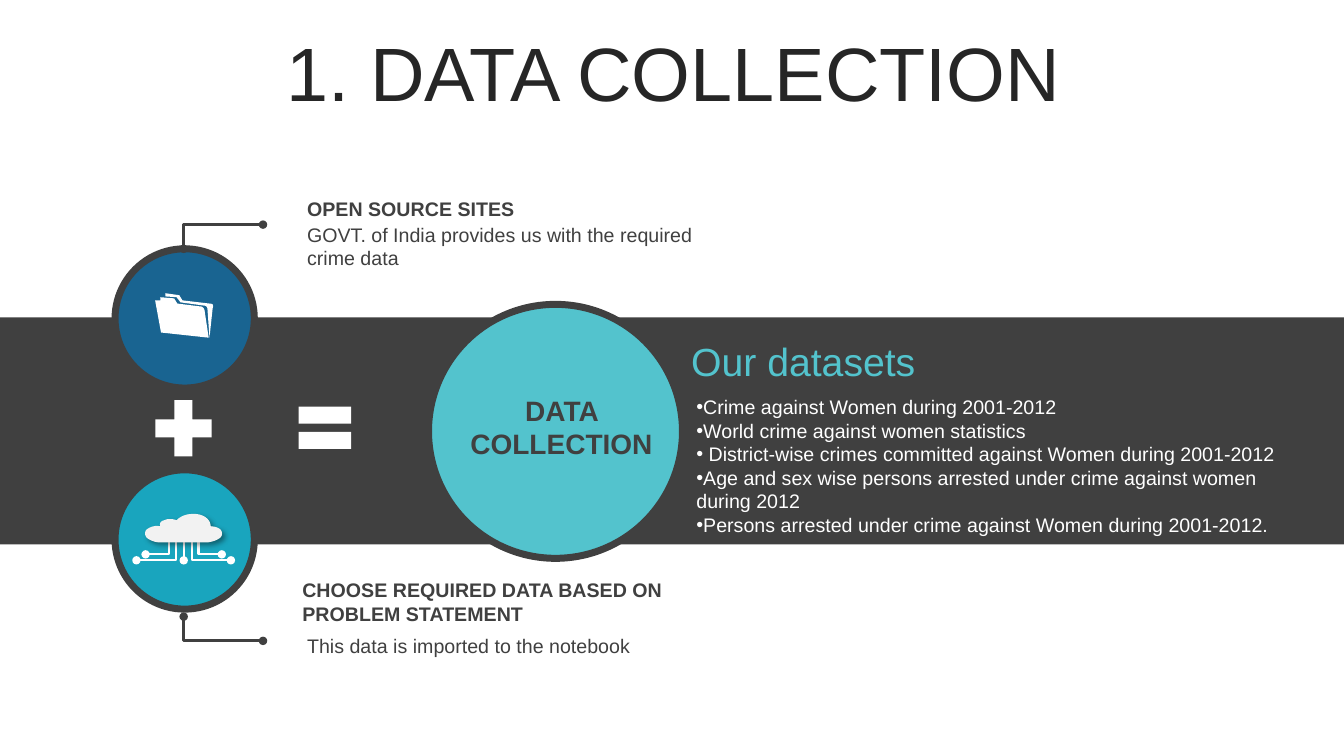
from dataclasses import dataclass

from lxml.etree import SubElement
from pptx import Presentation
from pptx.dml.color import RGBColor
from pptx.enum.shapes import MSO_CONNECTOR as Connector, MSO_SHAPE as Preset
from pptx.enum.text import MSO_ANCHOR as Anchor, PP_ALIGN as Align
from pptx.oxml.ns import qn
from pptx.util import Cm, Pt

WHITE = RGBColor(0xFF, 0xFF, 0xFF)
DARK = RGBColor(0x40, 0x40, 0x40)
TITLE_INK = RGBColor(0x26, 0x26, 0x26)
BLUE = RGBColor(0x19, 0x64, 0x91)
TEAL = RGBColor(0x19, 0xA5, 0xBE)
AQUA = RGBColor(0x53, 0xC3, 0xCD)
CLOUD_GREY = RGBColor(0xF2, 0xF2, 0xF2)

Segment = tuple[float, ...]  # two numbers: line; six numbers: Bézier curve


@dataclass
class Block:
    kind: Preset
    left: float
    top: float
    width: float
    height: float
    fill: RGBColor
    outlined: bool = False


@dataclass
class Label:
    left: float
    top: float
    width: float
    height: float
    lines: list[str]
    size: int
    color: RGBColor
    bold: bool = False
    align: Align = Align.LEFT
    anchor: Anchor = Anchor.TOP
    bullet: str = ""
    spacing: float = 1.0
    right_inset: float = 0.25


@dataclass
class Link:
    begin: tuple[float, float]
    end: tuple[float, float]
    color: RGBColor
    width: float
    preset: str
    bend: int | None = None
    begin_dot: bool = False


BLOCKS = [
    Block(Preset.RECTANGLE, 0, 8, 33.87, 5.72, DARK),
    Block(Preset.OVAL, 2.9, 6.27, 3.51, 3.51, BLUE, True),
    Block(Preset.OVAL, 2.9, 11.84, 3.51, 3.51, TEAL, True),
    Block(Preset.MATH_PLUS, 3.66, 9.83, 1.93, 1.93, WHITE),
    Block(Preset.OVAL, 10.8, 7.67, 6.4, 6.4, AQUA, True),
    Block(Preset.MATH_EQUAL, 7.29, 9.88, 1.8, 1.8, WHITE),
]

DATASETS = [
    "Crime against Women during 2001-2012",
    "World crime against women statistics",
    " District-wise crimes committed against Women during 2001-2012",
    "Age and sex wise persons arrested under crime against women during 2012",
    "Persons arrested under crime against Women during 2001-2012.",
]

LABELS = [
    Label(0.89, 0.94, 32.16, 2.01, ["1. DATA COLLECTION"], 54, TITLE_INK,
          align=Align.CENTER, anchor=Anchor.MIDDLE, spacing=0.9),
    Label(17.17, 8.38, 12.7, 1.45, ["Our datasets"], 28, AQUA),
    Label(17.3, 9.83, 16.56, 5.05, DATASETS, 14, WHITE, bullet="•", right_inset=1.1),
    Label(10.95, 9.78, 6.4, 1.96, ["DATA COLLECTION"], 20, DARK, True, Align.CENTER),
    Label(7.49, 4.83, 10.9, 0.86, ["OPEN SOURCE SITES"], 14, DARK, True),
    Label(7.49, 5.49, 10.9, 1.45,
          ["GOVT. of India provides us with the required crime data"], 14, DARK),
    Label(7.37, 14.45, 10.9, 1.45,
          ["CHOOSE REQUIRED DATA BASED ON PROBLEM STATEMENT"], 14, DARK, True),
    Label(7.49, 15.85, 10.9, 0.86, ["This data is imported to the notebook"], 14, DARK),
]

# Callout elbows, then the circuit traces mirrored around the cloud's axis
AXIS = 4.63
LINKS = [
    Link((6.63, y), (AXIS, circle_y), DARK, 2, "bentConnector2", begin_dot=True)
    for y, circle_y in [(5.66, 6.27), (16.15, 15.54)]
] + [
    Link((AXIS + side * near, top), (AXIS + side * far, bottom),
         WHITE, 1.5, "bentConnector3", bend)
    for side in (1, -1)
    for near, far, top, bottom, bend in [(0.37, 0.96, 13.64, 13.97, 700),
                                         (0.17, 1.19, 13.59, 14.12, 2900)]
] + [Link((AXIS, 13.49), (AXIS, 14.12), WHITE, 1.5, "line")]

FOLDER: list[list[Segment]] = [
    [(4.04, 7.49), (4.39, 7.52), (4.47, 7.65), (5.03, 7.72),
     (5.13, 7.72, 5.16, 7.8, 5.16, 7.85), (5.26, 8.51), (4.06, 8.38),
     (3.91, 7.57), (4.04, 7.57)],
    [(4.17, 7.39), (4.52, 7.44), (4.6, 7.57), (5.28, 7.65),
     (5.38, 7.65, 5.38, 7.7, 5.36, 7.77), (5.28, 8.51), (5.23, 7.8),
     (5.23, 7.75, 5.21, 7.7, 5.13, 7.7), (4.55, 7.62), (4.45, 7.49), (4.17, 7.47)],
]
CLOUD: list[list[Segment]] = [
    [(4.88, 12.95), (4.93, 12.95), (5.23, 12.98, 5.31, 13.16, 5.31, 13.26),
     (5.59, 13.28, 5.61, 13.41, 5.59, 13.49), (5.56, 13.61, 5.28, 13.67, 5.21, 13.67),
     (4.04, 13.67), (3.89, 13.67, 3.78, 13.61, 3.71, 13.56),
     (3.63, 13.49, 3.66, 13.39, 3.68, 13.36), (3.73, 13.31, 3.86, 13.23, 4.04, 13.26),
     (4.01, 13.18, 4.06, 13.13, 4.14, 13.11), (4.24, 13.06, 4.37, 13.08, 4.45, 13.11),
     (4.5, 13.06, 4.62, 12.95, 4.88, 12.95)],
]


def add_block(slide, block: Block) -> None:
    shape = slide.shapes.add_shape(block.kind, Cm(block.left), Cm(block.top),
                                   Cm(block.width), Cm(block.height))
    shape.shadow.inherit = False
    shape.fill.solid()
    shape.fill.fore_color.rgb = block.fill
    if block.outlined:
        shape.line.color.rgb = DARK
        shape.line.width = Pt(5)
    else:
        shape.line.fill.background()


def add_label(slide, label: Label) -> None:
    box = slide.shapes.add_textbox(Cm(label.left), Cm(label.top),
                                   Cm(label.width), Cm(label.height))
    frame = box.text_frame
    frame.word_wrap = True
    frame.vertical_anchor = label.anchor
    frame.margin_right = Cm(label.right_inset)
    frame.text = "\n".join(label.lines)
    for paragraph in frame.paragraphs:
        paragraph.alignment = label.align
        paragraph.line_spacing = label.spacing
        if label.bullet:
            properties = paragraph._p.get_or_add_pPr()
            SubElement(properties, qn("a:buFont"), typeface="Arial")
            SubElement(properties, qn("a:buChar"), char=label.bullet)
        font = paragraph.font
        font.name, font.size, font.bold = "Arial", Pt(label.size), label.bold
        font.color.rgb = label.color


def add_link(slide, link: Link) -> None:
    kind = Connector.STRAIGHT if link.preset == "line" else Connector.ELBOW
    connector = slide.shapes.add_connector(kind, *map(Cm, link.begin + link.end))
    connector.line.color.rgb = link.color
    connector.line.width = Pt(link.width)
    properties = connector._element.spPr
    outline = properties.find(qn("a:ln"))
    if link.begin_dot:
        SubElement(outline, qn("a:headEnd"), type="oval")
    SubElement(outline, qn("a:tailEnd"), type="oval")
    SubElement(properties, qn("a:effectLst"))
    geometry = properties.find(qn("a:prstGeom"))
    geometry.set("prst", link.preset)
    if link.bend is not None:
        SubElement(geometry.find(qn("a:avLst")), qn("a:gd"),
                   name="adj1", fmla=f"val {link.bend}")


def flatten(outline: list[Segment], steps: int = 8) -> list[tuple[int, int]]:
    """Turn lines and Bézier curves into a list of points."""
    points = [outline[0]]
    for segment in outline[1:]:
        if len(segment) == 2:
            points.append(segment)
            continue
        x0, y0 = points[-1]
        x1, y1, x2, y2, x3, y3 = segment
        for step in range(1, steps + 1):
            t = step / steps
            a, b, c, d = (1 - t) ** 3, 3 * t * (1 - t) ** 2, 3 * t * t * (1 - t), t ** 3
            points.append((a * x0 + b * x1 + c * x2 + d * x3,
                           a * y0 + b * y1 + c * y2 + d * y3))
    return [(Cm(x), Cm(y)) for x, y in points]


def add_icon(slide, outlines: list[list[Segment]], fill: RGBColor):
    contours = [flatten(outline) for outline in outlines]
    builder = slide.shapes.build_freeform(*contours[0][0])
    for number, points in enumerate(contours):
        if number:
            builder.move_to(*points[0])
        builder.add_line_segments(points[1:], close=True)
    shape = builder.convert_to_shape()
    shape.shadow.inherit = False
    shape.fill.solid()
    shape.fill.fore_color.rgb = fill
    shape.line.fill.background()
    return shape


def add_soft_shadow(shape) -> None:
    effects = shape._element.spPr.find(qn("a:effectLst"))
    shadow = SubElement(effects, qn("a:outerShdw"), blurRad=str(Pt(4)), dist=str(Pt(3)),
                        dir="2700000", algn="tl", rotWithShape="0")
    color = SubElement(shadow, qn("a:srgbClr"), val="000000")
    SubElement(color, qn("a:alpha"), val="40000")


def main() -> None:
    presentation = Presentation()
    presentation.slide_width, presentation.slide_height = Cm(33.87), Cm(19.05)
    slide = presentation.slides.add_slide(presentation.slide_layouts[6])
    for block in BLOCKS:
        add_block(slide, block)
    for label in LABELS:
        add_label(slide, label)
    for link in LINKS:
        add_link(slide, link)
    add_icon(slide, FOLDER, WHITE)
    add_soft_shadow(add_icon(slide, CLOUD, CLOUD_GREY))
    presentation.save("out.pptx")


if __name__ == "__main__":
    main()
